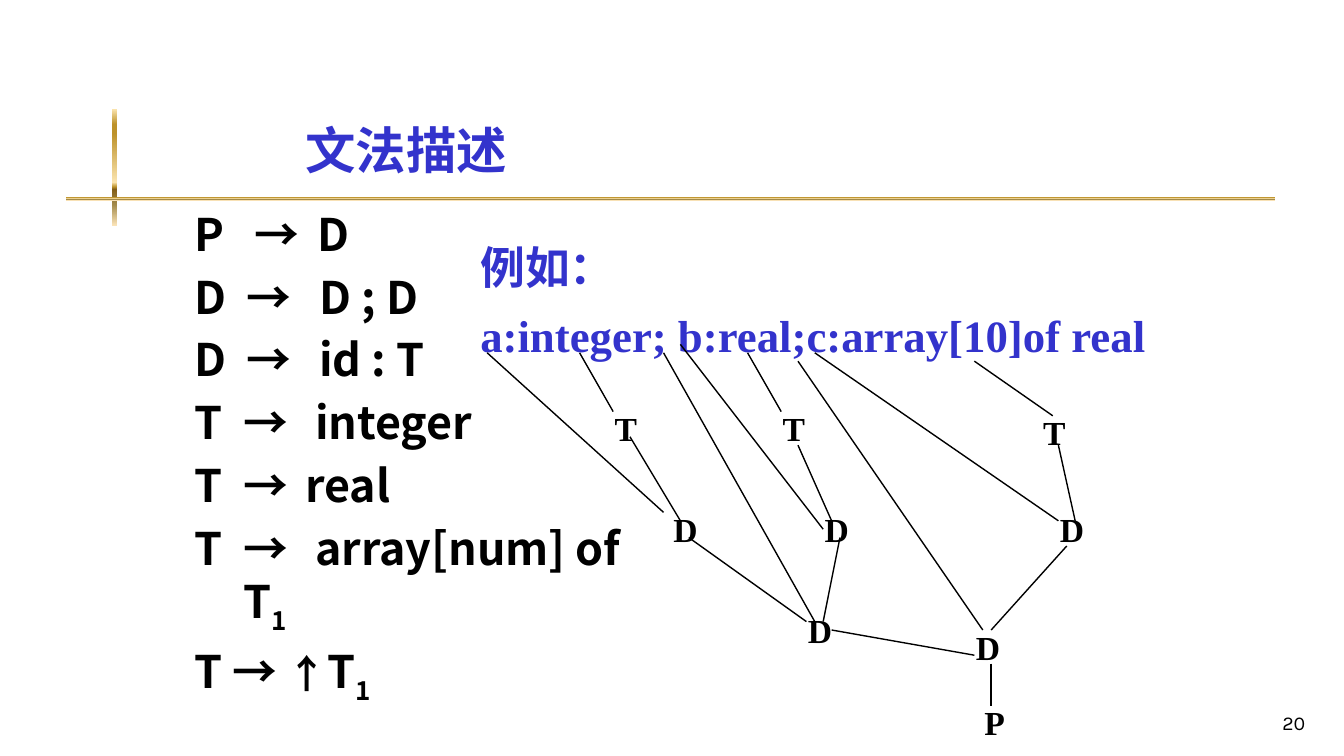
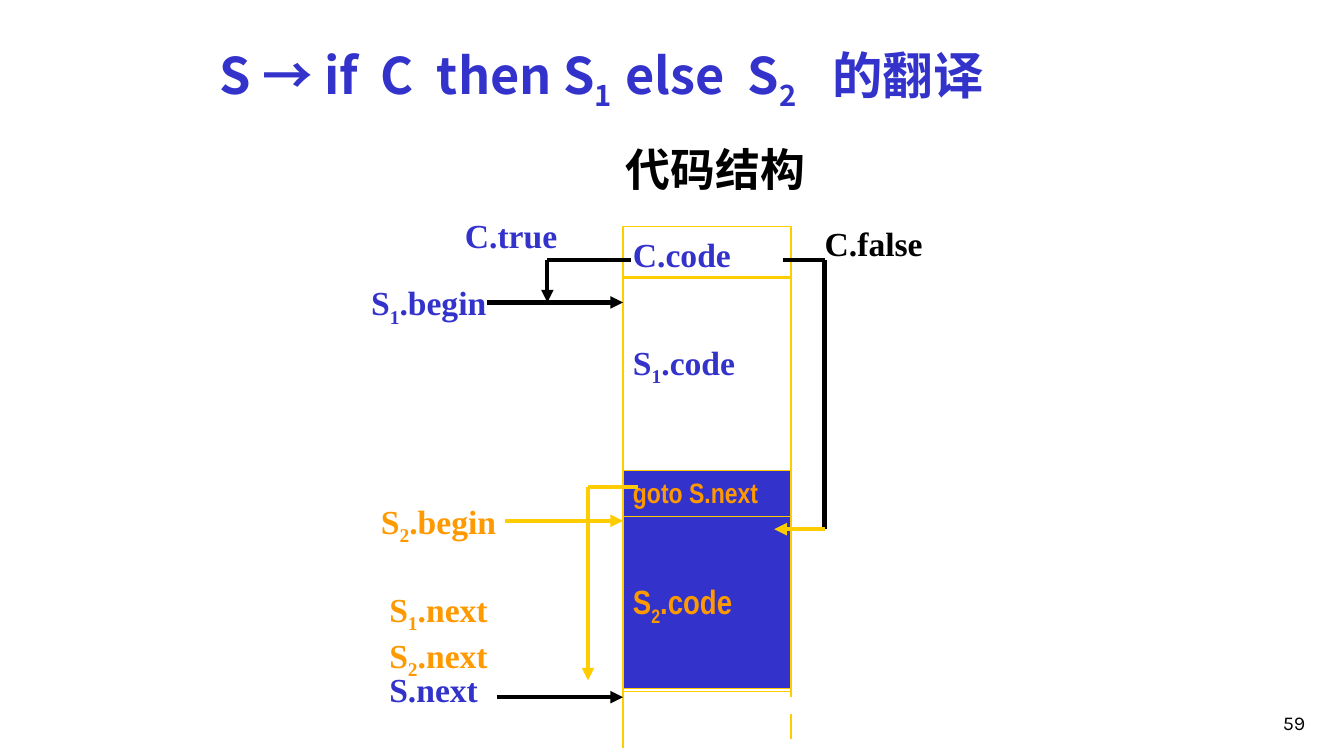
import dataclasses

import lxml.etree
import pptx
import pptx.dml.color
import pptx.enum.shapes
import pptx.enum.text
import pptx.oxml.ns
import pptx.util

Pt = pptx.util.Pt
qn = pptx.oxml.ns.qn
MSO_ANCHOR = pptx.enum.text.MSO_ANCHOR
PP_ALIGN = pptx.enum.text.PP_ALIGN


@dataclasses.dataclass(frozen=True)
class Theme:
    """Colours, fonts and type sizes shared by the slides."""
    blue: str = "3333CC"
    black: str = "000000"
    yellow: str = "FFCC00"
    orange: str = "FF9900"
    sans: str = "Noto Sans CJK JP"
    serif: str = "Times New Roman"
    narrow: str = "Arial Narrow"
    number_font: str = "Karla"
    title: int = 36
    body: int = 32
    arrow: int = 28
    label: int = 24
    goto: int = 20
    number: int = 14
    thin: int = 1
    thick: int = 3
    gold: tuple = ((0, "FBE4AE"), (13, "BD922A"), (21, "BD922A"), (63, "FBE4AE"),
                   (67, "BD922A"), (69, "835E17"), (82, "A28949"), (100, "FAE3B7"))


THEME = Theme()


def rgb(colour):
    """Turn a hex string into a colour."""
    return pptx.dml.color.RGBColor.from_string(colour)


def add_run(paragraph, text, size, font, colour, bold=True, subscript=False):
    """Add one formatted run."""
    run = paragraph.add_run()
    run.text = text
    run.font.size = Pt(size)
    run.font.bold = bold
    run.font.color.rgb = rgb(colour)
    run.font.name = font
    properties = run.font._element
    lxml.etree.SubElement(properties, qn("a:ea"), typeface=THEME.sans)
    if subscript:
        properties.set("baseline", "-25000")


def write(paragraph, text, size, font, colour, bold=True):
    """Write text in which an underscore lowers the next character."""
    plain, *lowered = text.split("_")
    style = (size, font, colour, bold)
    if plain:
        add_run(paragraph, plain, *style)
    for piece in lowered:
        add_run(paragraph, piece[0], *style, subscript=True)
        if piece[1:]:
            add_run(paragraph, piece[1:], *style)


def set_tabs(paragraph, stops):
    """Give a paragraph left tab stops."""
    tabs = lxml.etree.SubElement(paragraph._p.get_or_add_pPr(), qn("a:tabLst"))
    for stop in stops:
        lxml.etree.SubElement(tabs, qn("a:tab"), pos=str(Pt(stop)), algn="l")


def text_frame(slide, box, anchor=MSO_ANCHOR.TOP):
    """Add a wrapping text box and return its frame."""
    frame = slide.shapes.add_textbox(*map(Pt, box)).text_frame
    frame.word_wrap = True
    frame.vertical_anchor = anchor
    return frame


def add_label(slide, box, text, colour):
    """Add one serif diagram label."""
    write(text_frame(slide, box).paragraphs[0], text, THEME.label, THEME.serif, colour)


def add_line(slide, origin, start, end, colour, width, arrow=False):
    """Draw a straight line between two points measured from the origin."""
    left, top = origin
    line = slide.shapes.add_connector(
        pptx.enum.shapes.MSO_CONNECTOR.STRAIGHT,
        Pt(left + start[0]), Pt(top + start[1]), Pt(left + end[0]), Pt(top + end[1]))
    line.line.color.rgb = rgb(colour)
    line.line.width = Pt(width)
    properties = line._element.spPr
    if arrow:
        lxml.etree.SubElement(properties.find(qn("a:ln")), qn("a:tailEnd"), type="triangle")
    lxml.etree.SubElement(properties, qn("a:effectLst"))


def add_path(slide, origin, points, colour, arrow):
    """Draw a thick path with an optional arrowhead on its last leg."""
    legs = list(zip(points, points[1:]))
    for index, (start, end) in enumerate(legs, 1):
        add_line(slide, origin, start, end, colour, THEME.thick, arrow and index == len(legs))


def add_title(slide, box, text, stops=()):
    """Add the slide title."""
    paragraph = text_frame(slide, box, MSO_ANCHOR.BOTTOM).paragraphs[0]
    set_tabs(paragraph, stops)
    write(paragraph, text, THEME.title, THEME.sans, THEME.blue)


def add_page_number(slide, number):
    """Add the page number at the lower right."""
    paragraph = text_frame(slide, (739.5, 492, 200, 36), MSO_ANCHOR.BOTTOM).paragraphs[0]
    paragraph.alignment = PP_ALIGN.RIGHT
    write(paragraph, number, THEME.number, THEME.number_font, THEME.black, False)


def add_gold_bar(slide, box):
    """Add a bar with the gold gradient."""
    bar = slide.shapes.add_shape(pptx.enum.shapes.MSO_SHAPE.RECTANGLE, *map(Pt, box))
    bar.shadow.inherit = False
    bar.line.fill.background()
    bar.fill.gradient()
    bar.fill.gradient_angle = 270
    stops = bar._element.spPr.find(qn("a:gradFill")).find(qn("a:gsLst"))
    for stop in list(stops):
        stops.remove(stop)
    for position, colour in THEME.gold:
        stop = lxml.etree.SubElement(stops, qn("a:gs"), pos=str(position * 1000))
        lxml.etree.SubElement(stop, qn("a:srgbClr"), val=colour)


def add_grammar(slide, box):
    """List the productions with their arrows and right sides on tab stops."""
    rules = (
        ("P\t→\tD", (43, 88)),
        ("D\t→\tD ; D", (37, 89)),
        ("D\t→\tid : T", (37, 89)),
        ("T\t→\tinteger", (35, 86)),
        ("T\t→\treal", (35, 79)),
        ("T\t→\tarray[num] of\n\tT_1", (35, 86)),
        ("T → ↑T_1", ()),
    )
    frame = text_frame(slide, box)
    for index, (rule, stops) in enumerate(rules):
        paragraph = frame.add_paragraph() if index else frame.paragraphs[0]
        if index:
            paragraph.space_before = Pt(6.4)
        set_tabs(paragraph, stops)
        for line_index, line in enumerate(rule.split("\n")):
            if line_index:
                paragraph.add_line_break()
            before, pointer, after = line.partition("↑")
            for part, size in ((before, THEME.body), (pointer, THEME.arrow), (after, THEME.body)):
                write(paragraph, part, size, THEME.sans, THEME.black)


def add_example(slide, box):
    """Show the example declaration."""
    frame = text_frame(slide, box)
    write(frame.paragraphs[0], "例如：", THEME.body, THEME.serif, THEME.blue)
    declaration = frame.add_paragraph()
    declaration.space_before = Pt(9.6)
    write(declaration, "a:integer; b:real;c:array[10]of real", THEME.body, THEME.serif, THEME.blue)


def add_parse_tree(slide, origin):
    """Draw the parse tree below the declaration."""
    branches = (
        ((0, 6), (126, 120)), ((66, 6), (90, 48)), ((186, 6), (210, 48)),
        ((348, 12), (404, 51)), ((102, 66), (138, 126)), ((222, 72), (246, 126)),
        ((138, 0), (240, 132)), ((408, 72), (420, 126)), ((234, 6), (408, 126)),
        ((126, 6), (234, 198)), ((144, 138), (228, 198)), ((252, 138), (240, 198)),
        ((246, 204), (348, 222)), ((222, 12), (354, 204)), ((414, 144), (360, 204)),
        ((360, 228), (360, 258)),
    )
    nodes = (
        ("T", 84, 42), ("T", 204, 42), ("T", 390, 45),
        ("D", 126, 114), ("D", 234, 114), ("D", 402, 114),
        ("D", 222, 186), ("D", 342, 198), ("P", 348, 252),
    )
    for start, end in branches:
        add_line(slide, origin, start, end, THEME.black, THEME.thin)
    for symbol, x, y in nodes:
        add_label(slide, (origin[0] + x, origin[1] + y, 36, 36), symbol, THEME.black)


def add_code_block(slide, box, text, size, font, colour, fill, inset):
    """Add one block of the code column."""
    block = slide.shapes.add_shape(pptx.enum.shapes.MSO_SHAPE.RECTANGLE, *map(Pt, box))
    block.shadow.inherit = False
    if fill:
        block.fill.solid()
        block.fill.fore_color.rgb = rgb(fill)
    else:
        block.fill.background()
    block.line.color.rgb = rgb(THEME.yellow)
    block.line.width = Pt(THEME.thin)
    frame = block.text_frame
    frame.word_wrap = True
    frame.vertical_anchor = MSO_ANCHOR.TOP
    frame.margin_top = Pt(inset)
    paragraph = frame.paragraphs[0]
    paragraph.alignment = PP_ALIGN.LEFT
    write(paragraph, text, size, font, colour)


def add_code_layout(slide, origin):
    """Draw the code column with its labels and jumps."""
    left, top = origin
    column, width = 187, 120
    edge = column + width
    serif = (THEME.label, THEME.serif, THEME.blue, None)
    blocks = (
        (12, 37, "C.code", *serif, 5),
        (48, 296, "S_1.code", *serif, 46),
        (186, 33, "goto S.next", THEME.goto, THEME.narrow, THEME.orange, THEME.blue, 4),
        (219, 123, "S_2.code", THEME.label, THEME.narrow, THEME.orange, THEME.blue, 46),
    )
    for y, height, *content in blocks:
        add_code_block(slide, (left + column, top + y, width, height), *content)
    for x, start, end in ((column, 330, 384), (edge, 324, 348), (edge, 360, 378)):
        add_line(slide, origin, (x, start), (x, end), THEME.yellow, THEME.thin)
    jumps = (
        (((193, 36), (133, 36), (133, 66)), THEME.black, True),
        (((90, 66), (column, 66)), THEME.black, True),
        (((97, 348), (column, 348)), THEME.black, True),
        (((301, 36), (331, 36), (331, 228)), THEME.black, False),
        (((331, 228), (295, 228)), THEME.yellow, True),
        (((198, 198), (162, 198), (162, 336)), THEME.yellow, True),
        (((103, 222), (column, 222)), THEME.yellow, True),
    )
    for points, colour, arrow in jumps:
        add_path(slide, origin, points, colour, arrow)
    labels = (
        ("C.true", 67, 0, THEME.blue), ("C.false", 324, 6, THEME.black),
        ("S_1.begin", 0, 48, THEME.blue), ("S_2.begin", 7, 204, THEME.orange),
        ("S_1.next", 13, 267, THEME.orange), ("S_2.next", 13, 300, THEME.orange),
        ("S.next", 13, 324, THEME.blue),
    )
    for text, x, y, colour in labels:
        add_label(slide, (left + x, top + y, 108, 36), text, colour)


def build_grammar_slide(slide):
    """Build the grammar slide."""
    add_gold_bar(slide, (80, 78, 3.5, 83))
    add_gold_bar(slide, (47, 140.5, 864, 2.5))
    add_title(slide, (211, 60, 365, 72), "文法描述")
    add_grammar(slide, (132, 144, 354, 324))
    add_example(slide, (336, 168, 504, 96))
    add_parse_tree(slide, (348, 246))
    add_page_number(slide, "20")


def build_translation_slide(slide):
    """Build the slide on translating the conditional."""
    add_title(slide, (150, 18, 676, 66), "S → if\tC\tthen S_1\telse\tS_2\t的翻译",
              (115, 155, 289.5, 377, 437.5))
    heading = text_frame(slide, (440, 98, 160, 46)).paragraphs[0]
    write(heading, "代码结构", THEME.body, THEME.serif, THEME.black)
    add_code_layout(slide, (258, 150))
    add_page_number(slide, "59")


def main():
    """Build and save the presentation."""
    deck = pptx.Presentation()
    deck.slide_width, deck.slide_height = Pt(960), Pt(540)
    for build in (build_grammar_slide, build_translation_slide):
        build(deck.slides.add_slide(deck.slide_layouts[6]))
    deck.save("out.pptx")


if __name__ == "__main__":
    main()
